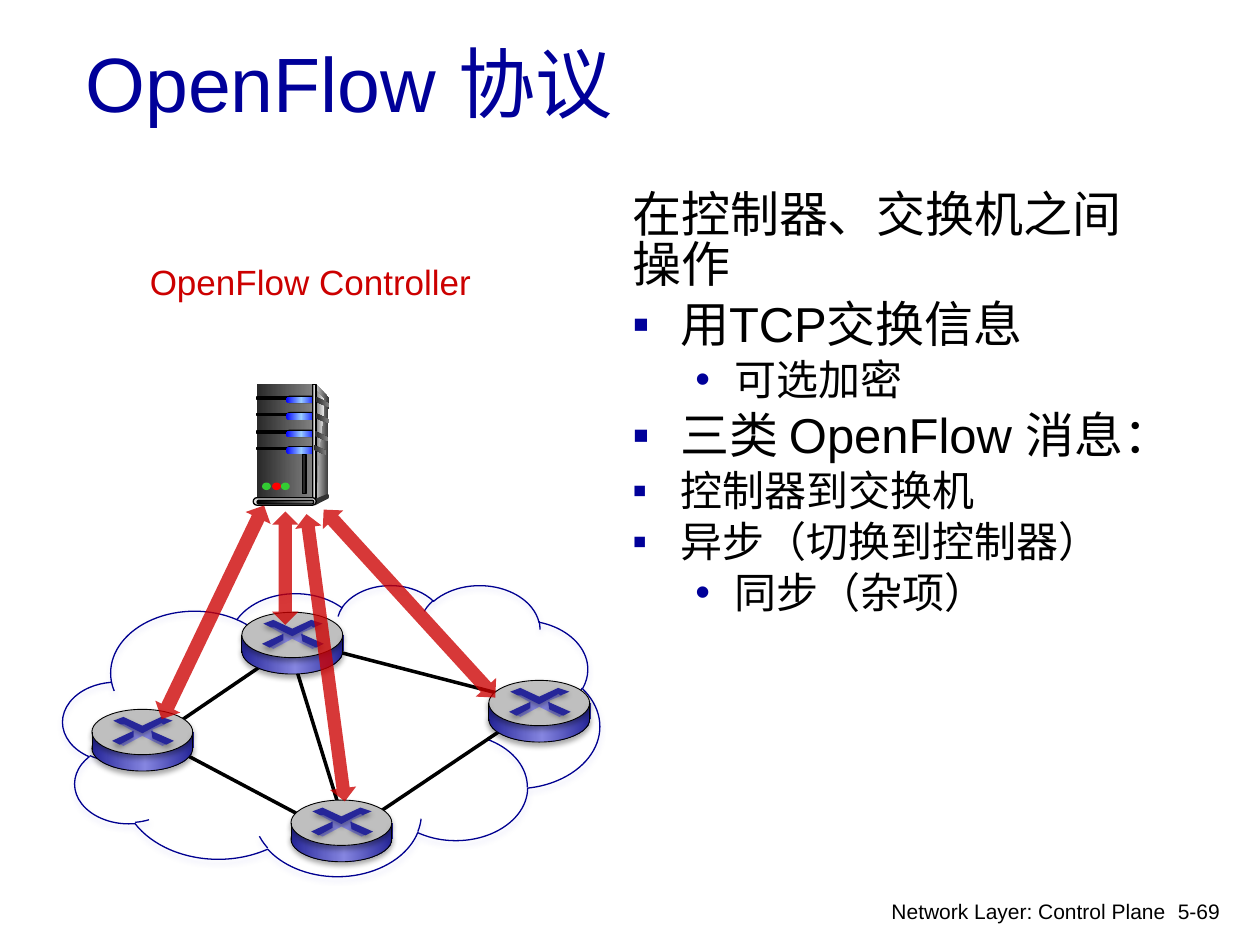
import lxml.etree
import pptx
import pptx.dml.color
import pptx.enum.shapes
import pptx.enum.text
import pptx.oxml.ns
import pptx.util

Inches, Pt = pptx.util.Inches, pptx.util.Pt
qn = pptx.oxml.ns.qn
SHAPE = pptx.enum.shapes.MSO_SHAPE
ALIGN = pptx.enum.text.PP_ALIGN
ANCHOR = pptx.enum.text.MSO_ANCHOR

# Text: (words, left indent, hanging, bullet, size)
BODY = [
    ("在控制器、交换机之间操作", 0, 0, None, 28),
    ("用TCP交换信息", 0.38, 0.38, "▪", 28),
    ("可选加密", 0.81, 0.31, "•", 24),
    ("三类 OpenFlow 消息：", 0.38, 0.38, "▪", 28),
    ("控制器到交换机", 0.38, 0.38, "▪", 24),
    ("异步（切换到控制器）", 0.38, 0.38, "▪", 24),
    ("同步（杂项）", 0.81, 0.31, "•", 24),
]

# Network: links, router corners, control arrows (box, rotation)
LINKS = [(1.23, 5.86, 2.55, 4.96), (1.23, 5.86, 2.55, 6.56), (2.33, 5.24, 2.68, 6.37),
         (2.63, 5.16, 4.06, 5.53), (2.84, 6.56, 4.06, 5.74)]
ROUTERS = [(2.31, 6.35), (3.88, 5.4), (0.73, 5.63), (1.92, 4.86)]
ARROWS = [((2.48, 4.07, 0.21, 2.3), 352.4), ((2.16, 4.06, 0.21, 0.9), 0),
          ((3.14, 3.78, 0.22, 2.02), 317.6), ((1.58, 3.92, 0.22, 1.88), 25.6)]

# Router symbol, measured from the router corner
CROSS = [(.40, .21), (.25, .29), (.21, .27), (.33, .22), (.32, .17), (.23, .12), (.26, .11),
         (.40, .17), (.54, .11), (.58, .12), (.48, .16), (.50, .23), (.60, .27), (.56, .29)]
SYMBOL_TOPS = [
    [(.17, .09), (.25, .06), (.40, .13), (.55, .06), (.64, .09),
     (.57, .12), (.55, .11), (.40, .19), (.26, .12), (.23, .12)],
    [(.47, .17), (.65, .25), (.59, .28), (.48, .23)],
    [(.33, .17), (.33, .22), (.22, .28), (.16, .25)],
]

# Server: drive bay tops, side vents (left, top), lamps
BAYS = [3.14, 3.27, 3.41, 3.54]
VENTS = [(2.51, 3.15), (2.51, 3.28), (2.5, 3.42), (2.49, 3.53)]
LAMPS = [(2.08, "33CC33"), (2.16, "FF0000"), (2.23, "33CC33")]

# Gradients: (position, colour)
ROUTER_BLUE = [(0, "262699"), (53, "8585E0"), (100, "262699")]
BAY_BLUE = [(0, "0000FF"), (50, "99CCFF"), (100, "0000FF")]
DARK_GREY = [(0, "292929"), (100, "808080")]

prs = pptx.Presentation()
prs.slide_width, prs.slide_height = Inches(10), Inches(7.5)
slide = prs.slides.add_slide(prs.slide_layouts[6])
shapes = slide.shapes


def rgb(value):
    return pptx.dml.color.RGBColor.from_string(value)


def sub(parent, tag, **attrs):
    return lxml.etree.SubElement(parent, qn(tag), {k: str(v) for k, v in attrs.items()})


def add_shadow(effects, color="000000", alpha=35):
    shadow = sub(effects, "a:outerShdw", blurRad=Pt(3.1), dist=Pt(1.8), dir=5400000,
                 algn="t", rotWithShape=0)
    sub(sub(shadow, "a:srgbClr", val=color), "a:alpha", val=alpha * 1000)


def style(sp, fill=None, line=None, width=0.75, angle=0, shadow=None):
    """fill: None, a colour or a list of gradient stops."""
    sp.shadow.inherit = False
    props = sp._element.spPr
    if fill is None:
        sp.fill.background()
    elif isinstance(fill, str):
        sp.fill.solid()
        sp.fill.fore_color.rgb = rgb(fill)
    else:
        sp.fill.gradient()
        sp.fill.gradient_angle = angle
        stops = props.find(qn("a:gradFill")).find(qn("a:gsLst"))
        for old in list(stops):
            stops.remove(old)
        for pos, color in fill:
            sub(sub(stops, "a:gs", pos=pos * 1000), "a:srgbClr", val=color)
    if line:
        sp.line.color.rgb = rgb(line)
        sp.line.width = Pt(width)
    else:
        sp.line.fill.background()
    if shadow:
        add_shadow(props.find(qn("a:effectLst")), shadow)
    return sp


def preset(kind, box, fill=None, **look):
    sp = shapes.add_shape(kind, *map(Inches, box))
    if kind == SHAPE.ROUNDED_RECTANGLE:
        sp.adjustments[0] = 0.5
    return style(sp, fill, **look)


def polygon(points, fill, x=0, y=0, **look):
    pts = [(Inches(x + px), Inches(y + py)) for px, py in points]
    builder = shapes.build_freeform(*pts[0], scale=1)
    builder.add_line_segments(pts[1:], close=True)
    return style(builder.convert_to_shape(), fill, **look)


def line(ends, width, shadow=False):
    cx = shapes.add_connector(pptx.enum.shapes.MSO_CONNECTOR.STRAIGHT, *map(Inches, ends))
    cx.line.color.rgb = rgb("000000")
    cx.line.width = Pt(width)
    effects = sub(cx._element.spPr, "a:effectLst")
    if shadow:
        add_shadow(effects, alpha=38)


def font(p, size, color):
    p.font.name, p.font.size, p.font.color.rgb = "Arial", Pt(size), rgb(color)


def label(box, text, size, color, align=ALIGN.LEFT, anchor=ANCHOR.TOP, wrap=True):
    tf = shapes.add_textbox(*map(Inches, box)).text_frame
    tf.word_wrap, tf.vertical_anchor = wrap, anchor
    p = tf.paragraphs[0]
    p.text, p.alignment = text, align
    font(p, size, color)


def server():
    rect, pill = SHAPE.RECTANGLE, SHAPE.ROUNDED_RECTANGLE
    polygon([(2.51, 3.05), (2.61, 3.16), (2.6, 3.93), (2.49, 3.97)],
            [(0, "DDDDDD"), (100, "333333")])
    preset(rect, (2.04, 3.05, 0.44, 0.92), DARK_GREY)
    polygon([(2.51, 3.1), (2.58, 3.18), (2.53, 3.6), (2.51, 3.94)],
            [(0, "808080"), (100, "F8F8F8")])
    for top in BAYS:
        preset(rect, (2.04, top + 0.01, 0.25, 0.02), "000000", line="000000")
        preset(pill, (2.27, top, 0.24, 0.06), "000000")
        preset(pill, (2.27, top + 0.01, 0.24, 0.05), BAY_BLUE)
    preset(rect, (2.48, 3.05, 0.03, 0.92),
           [(0, "333333"), (50, "DDDDDD"), (100, "333333")], line="000000")
    for x, y in VENTS:
        polygon([(0, 0), (0.1, 0.05), (0.1, 0.08), (0, 0.04)], DARK_GREY, x, y)
    # Base, lamps and slot
    preset(SHAPE.OVAL, (2.59, 3.92, 0.02, 0.04), "333333")
    polygon([(2.5, 3.96), (2.5, 4.01), (2.6, 3.96), (2.6, 3.92)], "333333")
    preset(pill, (2.01, 3.95, 0.5, 0.06), "DDDDDD", line="000000")
    preset(pill, (2.04, 3.97, 0.45, 0.03), [(0, "000000"), (100, "808080")], line="000000")
    for x, color in LAMPS:
        preset(SHAPE.OVAL, (x, 3.83, 0.07, 0.06), color)
    preset(rect, (2.4, 3.61, 0.03, 0.31), "292929", line="000000")


def router(x, y):
    rim = dict(line="000000", width=0.5, shadow="000000")
    preset(SHAPE.OVAL, (x, y + 0.13, 0.8, 0.36), ROUTER_BLUE, **rim)
    preset(SHAPE.RECTANGLE, (x, y + 0.18, 0.81, 0.13), ROUTER_BLUE, angle=180)
    preset(SHAPE.OVAL, (x, y, 0.8, 0.36), "BFBFBF", **rim)
    polygon(CROSS, "8585E0", x, y)
    for points in SYMBOL_TOPS:
        polygon(points, "262699", x, y, shadow="000000")
    for side in (x, x + 0.8):
        line((side, y + 0.32, side, y + 0.18), 0.5, shadow=True)


# Title and body
label((0.58, 0.02, 8.5, 1.25), "OpenFlow 协议", 44, "000099", anchor=ANCHOR.MIDDLE)
tf = shapes.add_textbox(*map(Inches, (4.92, 1.48, 4.17, 5.08))).text_frame
tf.word_wrap = True
for i, (text, left, hang, bullet, size) in enumerate(BODY):
    p = tf.add_paragraph() if i else tf.paragraphs[0]
    p.text, p.line_spacing = text, 0.85
    if i:
        p.space_before = Pt(size * 0.2)
    if bullet:
        props = p._p.get_or_add_pPr()
        props.set("marL", str(Inches(left)))
        props.set("indent", str(-Inches(hang)))
        sub(sub(props, "a:buClr"), "a:srgbClr", val="000099")
        sub(props, "a:buFont", typeface="Arial")
        sub(props, "a:buChar", char=bullet)
    font(p, size, "000000")

# Network cloud, links, server and routers
preset(SHAPE.CLOUD, (0.5, 4.64, 4.26, 2.31), line="000090", shadow="A5A5E9")
for ends in LINKS:
    line(ends, 2)
server()
label((1.09, 2.02, 2.78, 0.44), "OpenFlow Controller", 20, "CC0000", wrap=False)
for corner in ROUTERS:
    router(*corner)

# Control arrows
for box, turn in ARROWS:
    sp = preset(SHAPE.UP_DOWN_ARROW, box, "CC0000")
    sp.rotation = turn
    sub(sp._element.spPr.find(qn("a:solidFill"))[0], "a:alpha", val=78000)

# Footer
label((9.25, 7.08, 0.6, 0.3), "5-69", 12, "000000")
label((6.97, 7.08, 2.38, 0.26), "Network Layer: Control Plane", 12, "000000", ALIGN.RIGHT)

prs.save("out.pptx")
